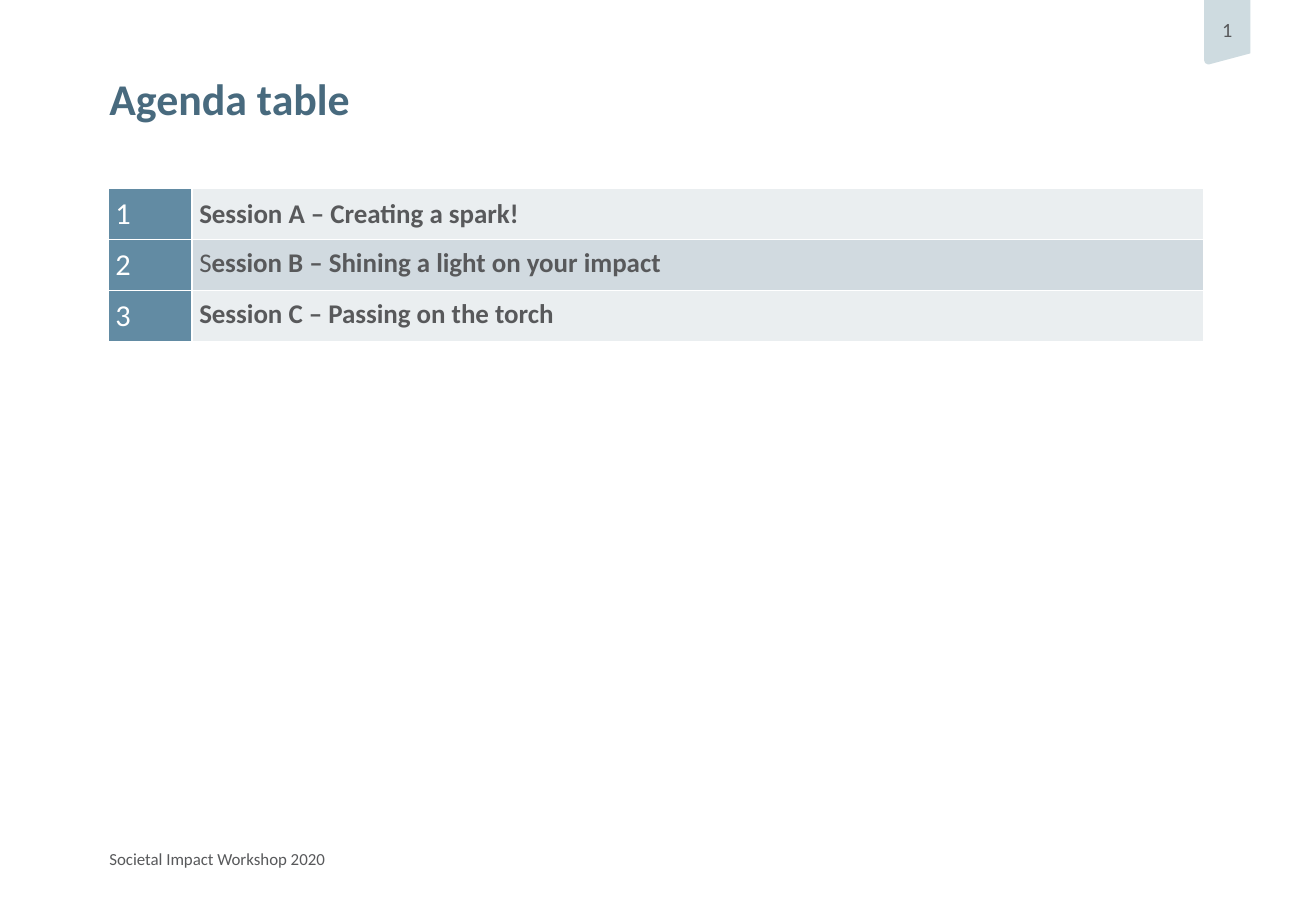
import pptx
import pptx.dml.color
import pptx.enum.text
import pptx.oxml
import pptx.oxml.ns
import pptx.util

INCH = pptx.util.Inches(1)
WIDTH, HEIGHT = 10.83, 7.5
MARGIN, CONTENT_WIDTH = 0.9, 9.01
TABLE_LEFT, TABLE_WIDTH = 0.89, 9.02
FONT = "Calibri"
COLOURS = {
    "title": "486A7E",
    "text": "58595B",
    "tab": "CEDBE0",
    "number": "628BA3",
    "light": "EAEEF0",
    "dark": "D1DAE0",
    "white": "FFFFFF",
}
MIDDLE = pptx.enum.text.MSO_ANCHOR.MIDDLE
TOP = pptx.enum.text.MSO_ANCHOR.TOP
CENTRE = pptx.enum.text.PP_ALIGN.CENTER
LEFT = pptx.enum.text.PP_ALIGN.LEFT

# Each session: number, spans of (text, bold), vertical anchor of the name
SESSIONS = [
    ("1", [("Session A – Creating a spark!", True)], MIDDLE),
    ("2", [("S", False), ("ession B – Shining a light on your impact", True)], TOP),
    ("3", [("Session C – Passing on the torch", True)], TOP),
]


def colour(name):
    return pptx.dml.color.RGBColor.from_string(COLOURS[name])


def inches(*lengths):
    return [round(length * INCH) for length in lengths]


def paint(target, name):
    target.fill.solid()
    target.fill.fore_color.rgb = colour(name)


def set_margins(target, left, top, right, bottom):
    (target.margin_left, target.margin_top,
     target.margin_right, target.margin_bottom) = inches(left, top, right, bottom)


def write(frame, text, size=16, color="text", bold=False, align=LEFT):
    """Append a formatted span to the first paragraph of a text frame."""
    para = frame.paragraphs[0]
    para.alignment = align
    span = para.add_run()
    span.text = text
    span.font.name = FONT
    span.font.size = pptx.util.Pt(size)
    span.font.bold = bold
    span.font.color.rgb = colour(color)


def add_text(page, box, text, **style):
    frame = page.shapes.add_textbox(*inches(*box)).text_frame
    frame.word_wrap = True
    set_margins(frame, 0, 0, 0, 0)
    write(frame, text, **style)


def add_page_tab(page, box, number):
    """Draw the slanted tab; its outline is given in shares of the box."""
    left, top, width, height = box
    outline = [(0, 0), (1, 0), (1, 0.83), (0.11, 1), (0.08, 1), (0.02, 0.98), (0, 0.94)]
    points = [inches(left + x * width, top + y * height) for x, y in outline]
    builder = page.shapes.build_freeform(*points[0])
    builder.add_line_segments(points[1:], close=True)
    tab = builder.convert_to_shape()
    tab.shadow.inherit = False
    paint(tab, "tab")
    tab.line.fill.background()
    frame = tab.text_frame
    frame.word_wrap = True
    set_margins(frame, 0, 0, 0, 0.04)
    frame.vertical_anchor = MIDDLE
    write(frame, number, size=12, align=CENTRE)


def add_borders(cell, width=1):
    properties = cell._tc.get_or_add_tcPr()
    for index, side in enumerate("LRTB"):
        properties.insert(index, pptx.oxml.parse_xml(
            f'<a:ln{side} {pptx.oxml.ns.nsdecls("a")} w="{pptx.util.Pt(width)}">'
            f'<a:solidFill><a:srgbClr val="{COLOURS["white"]}"/></a:solidFill>'
            f'</a:ln{side}>'))


def format_cell(cell, fill, spans, anchor=MIDDLE, **style):
    paint(cell, fill)
    add_borders(cell)
    set_margins(cell, *[0.06] * 4)
    cell.vertical_anchor = anchor
    for text, bold in spans:
        write(cell.text_frame, text, bold=bold, **style)


def add_agenda(page, box, number_width=0.69):
    table = page.shapes.add_table(len(SESSIONS), 2, *inches(*box)).table
    for column, width in zip(table.columns, inches(number_width, box[2] - number_width)):
        column.width = width
    for index, (number, spans, anchor) in enumerate(SESSIONS):
        number_cell, name_cell = table.rows[index].cells
        format_cell(number_cell, "number", [(number, False)], size=18, color="white")
        format_cell(name_cell, ("light", "dark")[index % 2], spans, anchor)


def build_agenda_slide(deck):
    page = deck.slides.add_slide(deck.slide_layouts[6])
    add_page_tab(page, (MARGIN + CONTENT_WIDTH, 0, 0.38, 0.53), "1")
    add_text(page, (MARGIN, 6.99, 2.29, 0.24), "Societal Impact Workshop 2020", size=10)
    add_text(page, (MARGIN, 0.59, CONTENT_WIDTH, 0.41), "Agenda table",
             size=26, color="title", bold=True)
    add_agenda(page, (TABLE_LEFT, 1.55, TABLE_WIDTH, 0.42 * len(SESSIONS)))


def main():
    deck = pptx.Presentation()
    deck.slide_width, deck.slide_height = inches(WIDTH, HEIGHT)
    build_agenda_slide(deck)
    deck.save("out.pptx")


if __name__ == "__main__":
    main()
